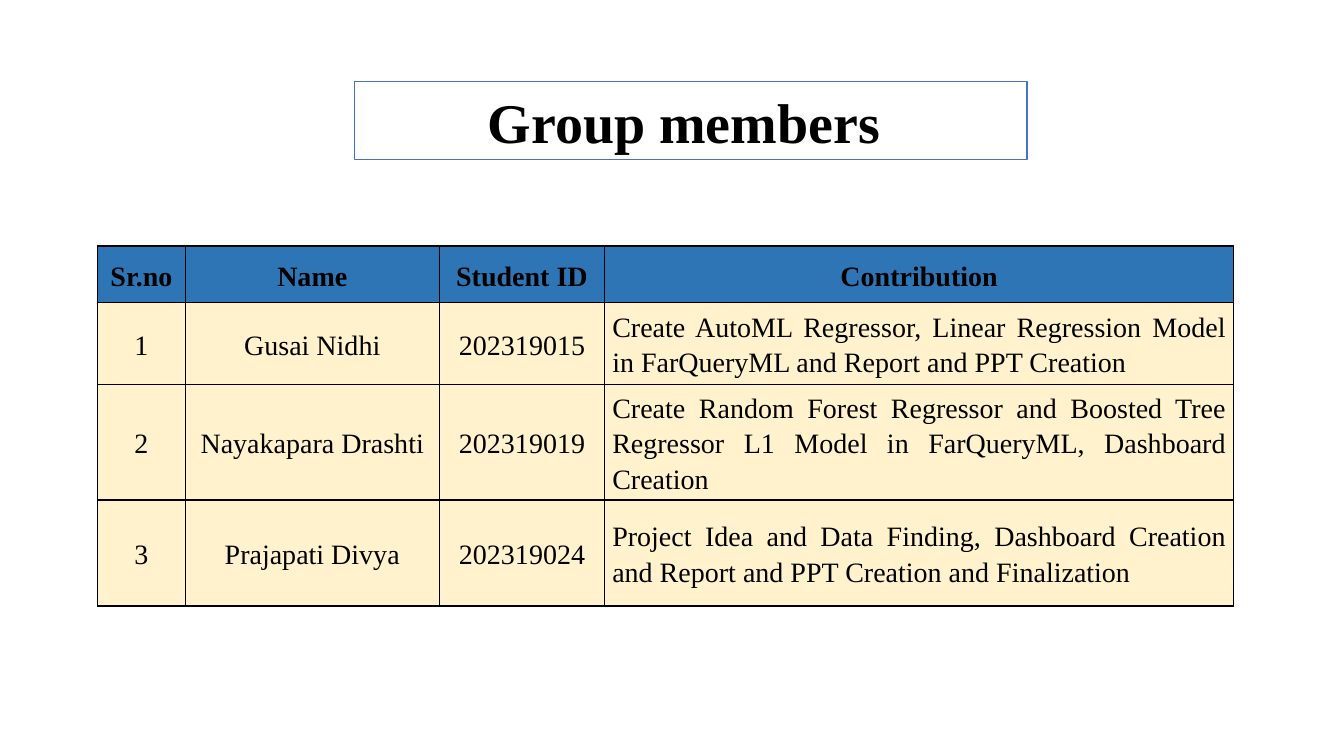
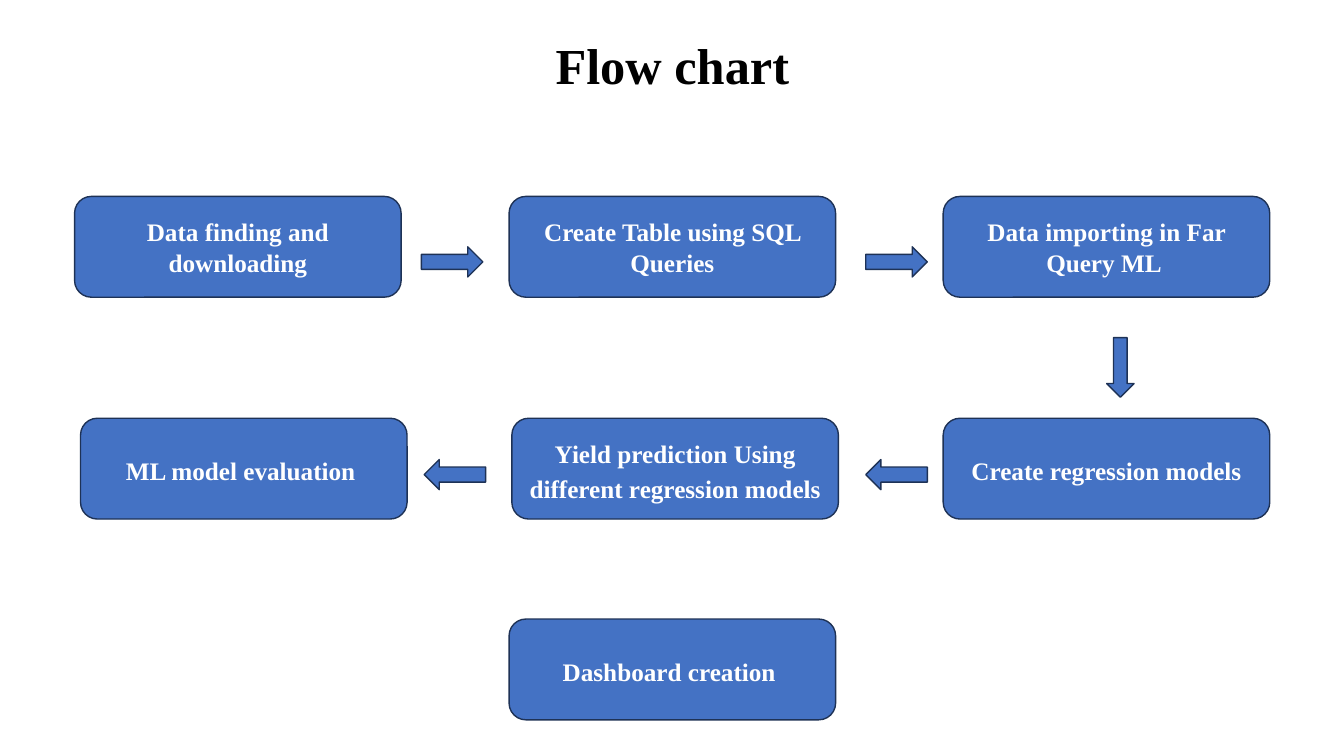
from lxml import etree
from pptx import Presentation
from pptx.dml.color import RGBColor
from pptx.enum.shapes import MSO_SHAPE
from pptx.enum.text import MSO_ANCHOR, MSO_AUTO_SIZE, PP_ALIGN
from pptx.oxml.ns import qn
from pptx.util import Cm, Pt

BLACK = RGBColor(0x00, 0x00, 0x00)
WHITE = RGBColor(0xFF, 0xFF, 0xFF)
BLUE = RGBColor(0x44, 0x72, 0xC4)
NAVY = RGBColor(0x1E, 0x32, 0x56)
HEADER = RGBColor(0x2E, 0x75, 0xB6)
CREAM = RGBColor(0xFF, 0xF2, 0xCC)

CENTER, JUSTIFY = PP_ALIGN.CENTER, PP_ALIGN.JUSTIFY
MIDDLE = MSO_ANCHOR.MIDDLE
NO_FIT = MSO_AUTO_SIZE.NONE
ROUNDED = MSO_SHAPE.ROUNDED_RECTANGLE
RIGHT, LEFT, DOWN = MSO_SHAPE.RIGHT_ARROW, MSO_SHAPE.LEFT_ARROW, MSO_SHAPE.DOWN_ARROW

FONT = "Times New Roman"
TITLE_ONLY = 5
BOX_W, BOX_H = 8.23, 2.54
ARROW_LONG, ARROW_WIDE = 1.55, 0.76

MEMBERS = [
    ("Sr.no", "Name", "Student ID", "Contribution"),
    ("1", "Gusai Nidhi", "202319015",
     "Create AutoML Regressor, Linear Regression Model in FarQueryML and Report and PPT Creation"),
    ("2", "Nayakapara Drashti", "202319019",
     "Create Random Forest Regressor and Boosted Tree Regressor L1 Model in FarQueryML, Dashboard Creation"),
    ("3", "Prajapati Divya", "202319024",
     "Project Idea and Data Finding, Dashboard Creation and Report and PPT Creation and Finalization"),
]
COL_WIDTHS = (2.21, 6.4, 4.17, 15.85)
ROW_HEIGHTS = (1.42, 2.06, 2.92, 2.67)

STEPS = [
    (1.88, 4.95, "Data finding and downloading", None),
    (12.83, 4.95, "Create Table using SQL Queries", None),
    (23.77, 4.95, "Data importing in Far Query ML ", None),
    (23.77, 10.54, "Create regression models", 1.15),
    (12.9, 10.54, "Yield prediction Using different regression models", 1.15),
    (2.03, 10.54, "ML model evaluation ", 1.15),
    (12.83, 15.6, "Dashboard creation ", 1.15),
]
ARROWS = [
    (RIGHT, 10.62, 6.22),
    (RIGHT, 21.82, 6.22),
    (LEFT, 21.82, 11.58),
    (LEFT, 10.69, 11.58),
]


class Deck:
    def __init__(self):
        self.prs = Presentation()
        self.prs.slide_width, self.prs.slide_height = Cm(33.87), Cm(19.05)
        self.s = None

    def text(self, tf, text, size, color, bold=True, align=CENTER, spacing=None, after=None):
        p = tf.paragraphs[0]
        p.text = text
        p.alignment = align
        p.line_spacing = spacing
        p.space_after = after
        p.font.name, p.font.size = FONT, Pt(size)
        p.font.bold, p.font.color.rgb = bold, color

    def slide(self, title, x, y, w, h, size, spacing=None):
        self.s = self.prs.slides.add_slide(self.prs.slide_layouts[TITLE_ONLY])
        sp = self.s.shapes.title
        sp.left, sp.top, sp.width, sp.height = Cm(x), Cm(y), Cm(w), Cm(h)
        tf = sp.text_frame
        tf.vertical_anchor, tf.auto_size = MIDDLE, NO_FIT
        self.text(tf, title, size, BLACK, spacing=spacing)
        return sp

    def frame(self, sp):
        sp.fill.solid()
        sp.fill.fore_color.rgb = WHITE
        sp.line.color.rgb, sp.line.width = BLUE, Pt(1)

    def shape(self, kind, x, y, w, h):
        sp = self.s.shapes.add_shape(kind, Cm(x), Cm(y), Cm(w), Cm(h))
        sp.shadow.inherit = False
        sp.fill.solid()
        sp.fill.fore_color.rgb = BLUE
        sp.line.color.rgb, sp.line.width = NAVY, Pt(1)
        return sp

    def step(self, x, y, text, spacing):
        tf = self.shape(ROUNDED, x, y, BOX_W, BOX_H).text_frame
        tf.word_wrap, tf.vertical_anchor = True, MIDDLE
        self.text(tf, text, 18, WHITE, spacing=spacing, after=Pt(10) if spacing else None)

    def borders(self, cell):
        tcPr = cell._tc.get_or_add_tcPr()
        for i, side in enumerate(("a:lnL", "a:lnR", "a:lnT", "a:lnB")):
            ln = etree.Element(qn(side), w=str(Pt(1)))
            fill = etree.SubElement(ln, qn("a:solidFill"))
            etree.SubElement(fill, qn("a:srgbClr"), val=str(BLACK))
            tcPr.insert(i, ln)

    def cell(self, cell, text, header, align):
        cell.fill.solid()
        cell.fill.fore_color.rgb = HEADER if header else CREAM
        cell.vertical_anchor = MIDDLE
        cell.margin_left = cell.margin_right = Cm(0.19)
        cell.margin_top = cell.margin_bottom = 0
        self.text(cell.text_frame, text, 20, BLACK, header, align, 1.15, Pt(10))
        self.borders(cell)

    def table(self, rows, x, y, widths, heights):
        table = self.s.shapes.add_table(len(rows), len(widths), Cm(x), Cm(y),
                                        Cm(sum(widths)), Cm(sum(heights))).table
        for col, width in zip(table.columns, widths):
            col.width = Cm(width)
        for r, (texts, height) in enumerate(zip(rows, heights)):
            table.rows[r].height = Cm(height)
            for c, text in enumerate(texts):
                last = c == len(widths) - 1
                self.cell(table.cell(r, c), text, r == 0, JUSTIFY if r and last else CENTER)


def main():
    deck = Deck()

    deck.frame(deck.slide("Group members ", 8.94, 2.06, 16.94, 1.96, 40))
    deck.table(MEMBERS, 2.46, 6.2, COL_WIDTHS, ROW_HEIGHTS)

    deck.slide("Flow chart", 2.34, 1.02, 29.21, 1.42, 36, 0.9)
    for step in STEPS:
        deck.step(*step)
    for kind, x, y in ARROWS:
        deck.shape(kind, x, y, ARROW_LONG, ARROW_WIDE)
    deck.shape(DOWN, 27.89, 8.51, 0.69, 1.5)

    deck.prs.save("out.pptx")


if __name__ == "__main__":
    main()
